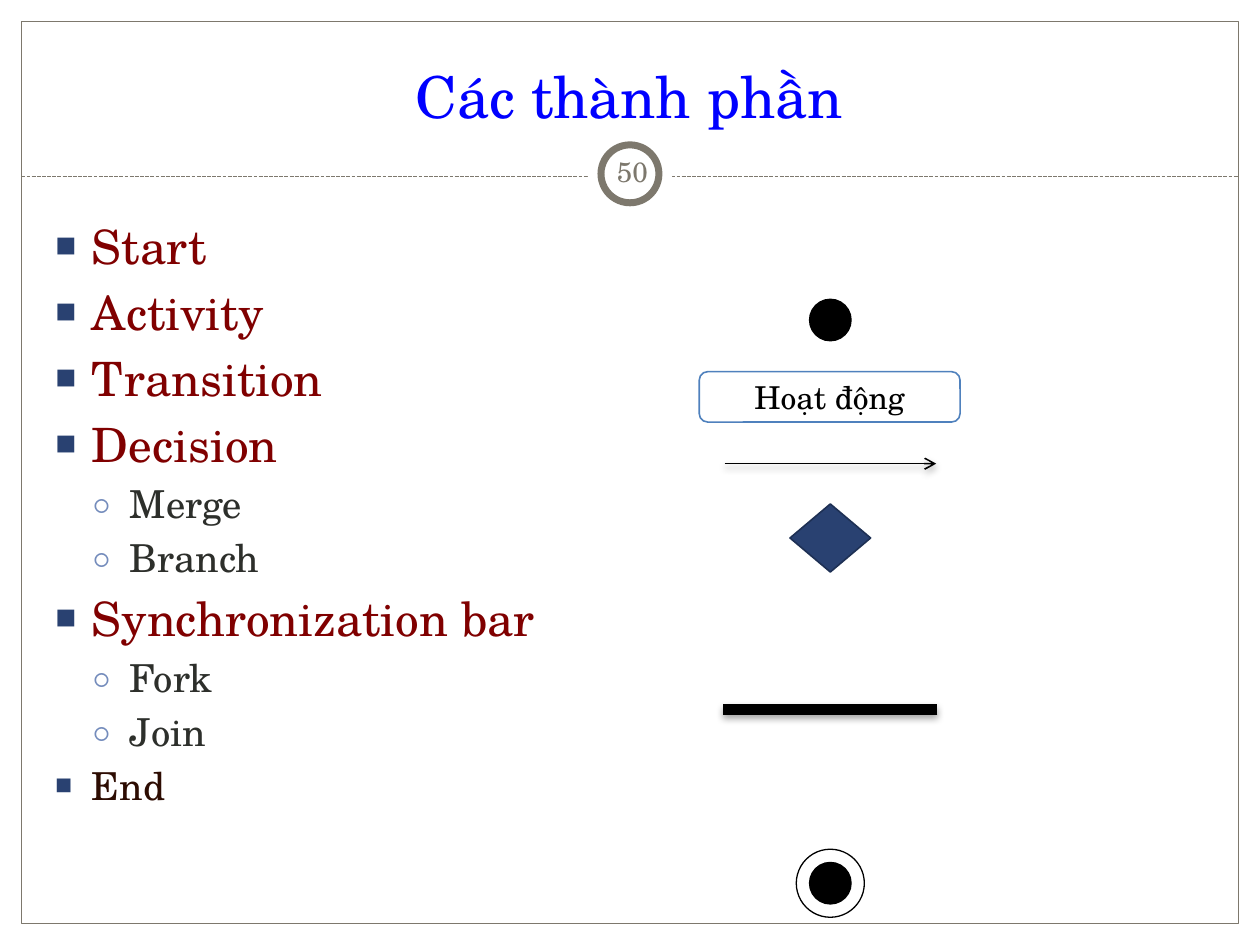
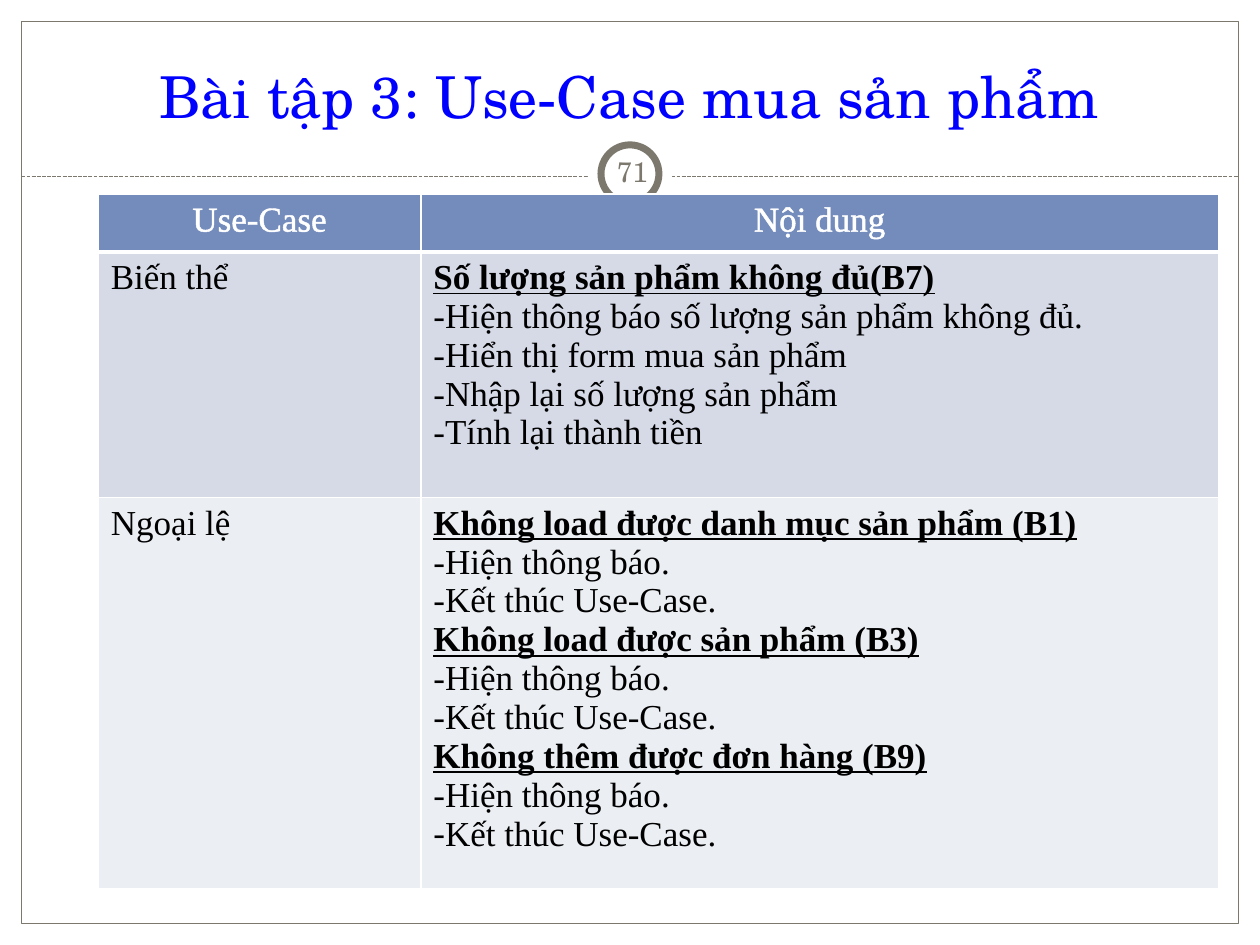
from dataclasses import dataclass

from lxml import etree
from pptx import Presentation
from pptx import util as u
from pptx.dml.color import RGBColor
from pptx.enum import dml, shapes, text
from pptx.oxml import ns

KIND = shapes.MSO_SHAPE
CENTER = text.PP_ALIGN.CENTER
MIDDLE = text.MSO_ANCHOR.MIDDLE


@dataclass(frozen=True)
class Theme:
    font: str = "TeX Gyre Schola"
    table_font: str = "Times New Roman"
    white: str = "FFFFFF"
    black: str = "000000"
    frame: str = "7D786D"
    title: str = "0000FF"
    term: str = "800000"
    subterm: str = "2D2F2B"
    last_term: str = "2D0C02"
    navy: str = "294171"
    navy_edge: str = "1E3054"
    header: str = "748CBC"
    activity_edge: str = "4F81BD"
    bands: tuple[str, ...] = ("D6DAE7", "EBEEF3")
    title_size: float = 33
    term_size: float = 27
    subterm_size: float = 22
    table_size: float = 20
    label_size: float = 18
    number_size: float = 16


@dataclass(frozen=True)
class Box:
    left: float
    top: float
    width: float
    height: float

    def emu(self) -> list[int]:
        return [u.Inches(v) for v in (self.left, self.top, self.width, self.height)]


@dataclass(frozen=True)
class Outline:
    color: str
    width: float = 0.75


@dataclass(frozen=True)
class Term:
    name: str
    level: int = 0
    color: str = ""
    size: float = 0


@dataclass(frozen=True)
class Case:
    """A bold heading followed by dashed steps."""
    heading: str
    steps: tuple[str, ...]


T = Theme()
THIN_BLACK = Outline(T.black)
AXIS = 6.59  # centre line of the symbols

TERMS = [
    Term("Start"), Term("Activity"), Term("Transition"), Term("Decision"),
    Term("Merge", 1), Term("Branch", 1), Term("Synchronization bar"),
    Term("Fork", 1), Term("Join", 1),
    Term("End", 0, T.last_term, T.subterm_size),
]
TERM_STYLES = [(T.term_size, T.term), (T.subterm_size, T.subterm)]
TERM_BULLETS = [("￭", T.navy, 100), ("○", T.header, 70)]

STOP_STEPS = ("Hiện thông báo.", "Kết thúc Use-Case.")
CASE_ROWS = [
    ("Biến thể", [Case("Số lượng sản phẩm không đủ(B7)", (
        "Hiện thông báo số lượng sản phẩm không đủ.",
        "Hiển thị form mua sản phẩm",
        "Nhập lại số lượng sản phẩm",
        "Tính lại thành tiền"))]),
    ("Ngoại lệ", [Case(heading, STOP_STEPS) for heading in (
        "Không load được danh mục sản phẩm (B1)",
        "Không load được sản phẩm (B3)",
        "Không thêm được đơn hàng (B9)")]),
]


def rgb(color: str) -> RGBColor:
    return RGBColor.from_string(color)


def add_xml(parent, tag: str, **attrs):
    return etree.SubElement(parent, ns.qn(tag), {k: str(v) for k, v in attrs.items()})


def add_color(parent, color: str):
    return add_xml(add_xml(parent, "a:solidFill"), "a:srgbClr", val=color)


def write(p, words: str, *, size: float, color: str, font: str = T.font, align=None,
          bold: bool = False, underline: bool = False, outline: str = "") -> None:
    """Add one formatted run to a paragraph."""
    if align is not None:
        p.alignment = align
    r = p.add_run()
    r.text = words
    r.font.name, r.font.size = font, u.Pt(size)
    r.font.bold, r.font.underline = bold, underline
    r.font.color.rgb = rgb(color)
    if outline:
        props = r.font._element
        ln = add_xml(props, "a:ln", w=u.Pt(0.75))
        add_color(ln, outline)
        props.insert(0, ln)


def set_bullet(p, char: str, *, indent: float = 0, hanging: float = 0, font: str = T.font,
               color: str = T.black, percent: int = 100) -> None:
    props = p._p.get_or_add_pPr()
    props.set("marL", str(u.Inches(indent)))
    props.set("indent", str(-u.Inches(hanging)))
    add_xml(add_xml(props, "a:buClr"), "a:srgbClr", val=color)
    add_xml(props, "a:buSzPct", val=percent * 1000)
    add_xml(props, "a:buFont", typeface=font)
    add_xml(props, "a:buChar", char=char)


def next_paragraph(tf, first: bool):
    return tf.paragraphs[0] if first else tf.add_paragraph()


def add_shape(parent, kind, box: Box, *, fill: str = "", outline: Outline | None = None):
    sp = parent.add_shape(kind, *box.emu())
    sp.shadow.inherit = False
    if fill:
        sp.fill.solid()
        sp.fill.fore_color.rgb = rgb(fill)
    else:
        sp.fill.background()
    if outline:
        sp.line.color.rgb = rgb(outline.color)
        sp.line.width = u.Pt(outline.width)
    else:
        sp.line.fill.background()
    return sp


def add_disc(parent, x: float, y: float, size: float, **style):
    """Draw a circle around a centre point."""
    box = Box(x - size / 2, y - size / 2, size, size)
    return add_shape(parent, KIND.OVAL, box, **style)


def add_line(slide, x1: float, x2: float, y: float, outline: Outline, *,
             dashed: bool = False, arrow: bool = False, shadow: bool = False) -> None:
    """Draw a horizontal line."""
    ends = [u.Inches(v) for v in (x1, y, x2, y)]
    line = slide.shapes.add_connector(shapes.MSO_CONNECTOR.STRAIGHT, *ends)
    line.line.color.rgb = rgb(outline.color)
    line.line.width = u.Pt(outline.width)
    if dashed:
        line.line.dash_style = dml.MSO_LINE.SQUARE_DOT
    props = line._element.spPr
    if arrow:
        add_xml(props.find(ns.qn("a:ln")), "a:tailEnd", type="arrow")
    effects = add_xml(props, "a:effectLst")
    if shadow:
        cast = add_xml(effects, "a:outerShdw", blurRad=u.Pt(4), dist=u.Pt(2),
                       dir=90 * 60000, rotWithShape=0)
        add_xml(add_xml(cast, "a:srgbClr", val=T.black), "a:alpha", val=35000)


def start_slide(prs, layout: int, title: str, number: int):
    """Add a slide with its title, frame, rule and number ring."""
    slide = prs.slides.add_slide(prs.slide_layouts[layout])
    sp = slide.shapes.title
    sp.left, sp.top, sp.width, sp.height = Box(0.33, 0.25, 9.33, 0.83).emu()
    tf = sp.text_frame
    tf.vertical_anchor = text.MSO_ANCHOR.BOTTOM
    tf.auto_size = text.MSO_AUTO_SIZE.NONE
    write(tf.paragraphs[0], title, size=T.title_size, color=T.title, align=CENTER)

    add_shape(slide.shapes, KIND.RECTANGLE, Box(0.17, 0.17, 9.66, 7.16),
              outline=Outline(T.frame))
    add_line(slide, 0.17, 9.83, 1.4, Outline(T.frame), dashed=True)
    add_disc(slide.shapes, 5, 1.38, 0.67, fill=T.white)
    add_disc(slide.shapes, 5, 1.38, 0.46, fill=T.white, outline=Outline(T.frame, 4))

    tf = slide.shapes.add_textbox(*Box(4.77, 1.12, 0.5, 0.48).emu()).text_frame
    tf.word_wrap = True
    tf.vertical_anchor = MIDDLE
    tf.margin_left = tf.margin_right = tf.margin_top = tf.margin_bottom = u.Inches(0.05)
    write(tf.paragraphs[0], str(number), size=T.number_size, color=T.frame, align=CENTER)
    return slide


def fill_terms(sp) -> None:
    sp.left, sp.top, sp.width, sp.height = Box(0.33, 1.67, 9.3, 5.54).emu()
    tf = sp.text_frame
    tf.auto_size = text.MSO_AUTO_SIZE.NONE
    for i, term in enumerate(TERMS):
        p = next_paragraph(tf, i == 0)
        p.level = term.level
        size, color = TERM_STYLES[term.level]
        char, bullet_color, percent = TERM_BULLETS[term.level]
        set_bullet(p, char, indent=0.3 * (term.level + 1), hanging=0.3,
                   color=bullet_color, percent=percent)
        write(p, term.name, size=term.size or size, color=term.color or color,
              align=text.PP_ALIGN.JUSTIFY)


def build_components(prs) -> None:
    slide = start_slide(prs, 1, "Các thành phần", 50)
    fill_terms(slide.placeholders[1])

    activity = add_shape(slide.shapes, KIND.ROUNDED_RECTANGLE, Box(5.55, 2.95, 2.07, 0.4),
                         fill=T.white, outline=Outline(T.activity_edge, 0.9))
    activity.text_frame.vertical_anchor = MIDDLE
    write(activity.text_frame.paragraphs[0], "Hoạt động", size=T.label_size,
          color=T.black, align=CENTER, outline=T.black)

    add_disc(slide.shapes, AXIS, 2.54, 0.33, fill=T.black, outline=THIN_BLACK)
    end_node = slide.shapes.add_group_shape().shapes
    add_disc(end_node, AXIS, 7.01, 0.33, fill=T.black, outline=THIN_BLACK)
    add_disc(end_node, AXIS, 7.01, 0.54, outline=THIN_BLACK)

    add_line(slide, 5.75, 7.43, 3.68, Outline(T.black, 0.9), arrow=True, shadow=True)
    add_line(slide, 7.44, 5.74, 5.63, Outline(T.black, 6), shadow=True)
    add_shape(slide.shapes, KIND.DIAMOND, Box(6.27, 4, 0.64, 0.54),
              fill=T.navy, outline=Outline(T.navy_edge, 0.9))


def style_cell(cell, fill: str, bottom: float = 1) -> None:
    """Give a cell white borders and a solid fill."""
    props = cell._tc.get_or_add_tcPr()
    for side, width in (("L", 1), ("R", 1), ("T", 1), ("B", bottom)):
        add_color(add_xml(props, f"a:ln{side}", w=u.Pt(width)), T.white)
    cell.fill.solid()
    cell.fill.fore_color.rgb = rgb(fill)


def write_cases(tf, cases: list[Case], **style) -> None:
    for i, case in enumerate(cases):
        write(next_paragraph(tf, i == 0), case.heading, bold=True, underline=True, **style)
        for step in case.steps:
            p = tf.add_paragraph()
            set_bullet(p, "-", font=T.table_font)
            write(p, step, **style)


def build_exercise(prs) -> None:
    slide = start_slide(prs, 5, "Bài tập 3: Use-Case mua sản phẩm", 71)
    table = slide.shapes.add_table(3, 2, *Box(0.78, 1.54, 8.89, 5.47).emu()).table
    for column, width in zip(table.columns, (2.56, 6.33)):
        column.width = u.Inches(width)
    for row, height in zip(table.rows, (0.46, 1.95, 3.06)):
        row.height = u.Inches(height)

    style = dict(size=T.table_size, font=T.table_font)
    for cell, heading in zip(table.rows[0].cells, ("Use-Case", "Nội dung")):
        style_cell(cell, T.header, bottom=3)
        write(cell.text_frame.paragraphs[0], heading, color=T.white, align=CENTER,
              outline=T.white, **style)
    for i, (name, cases) in enumerate(CASE_ROWS):
        label, content = table.rows[i + 1].cells
        for cell in (label, content):
            style_cell(cell, T.bands[i])
        write(label.text_frame.paragraphs[0], name, color=T.black, **style)
        write_cases(content.text_frame, cases, color=T.black, **style)


def main() -> None:
    prs = Presentation()
    prs.slide_width, prs.slide_height = u.Inches(10), u.Inches(7.5)
    build_components(prs)
    build_exercise(prs)
    prs.save("out.pptx")


if __name__ == "__main__":
    main()
